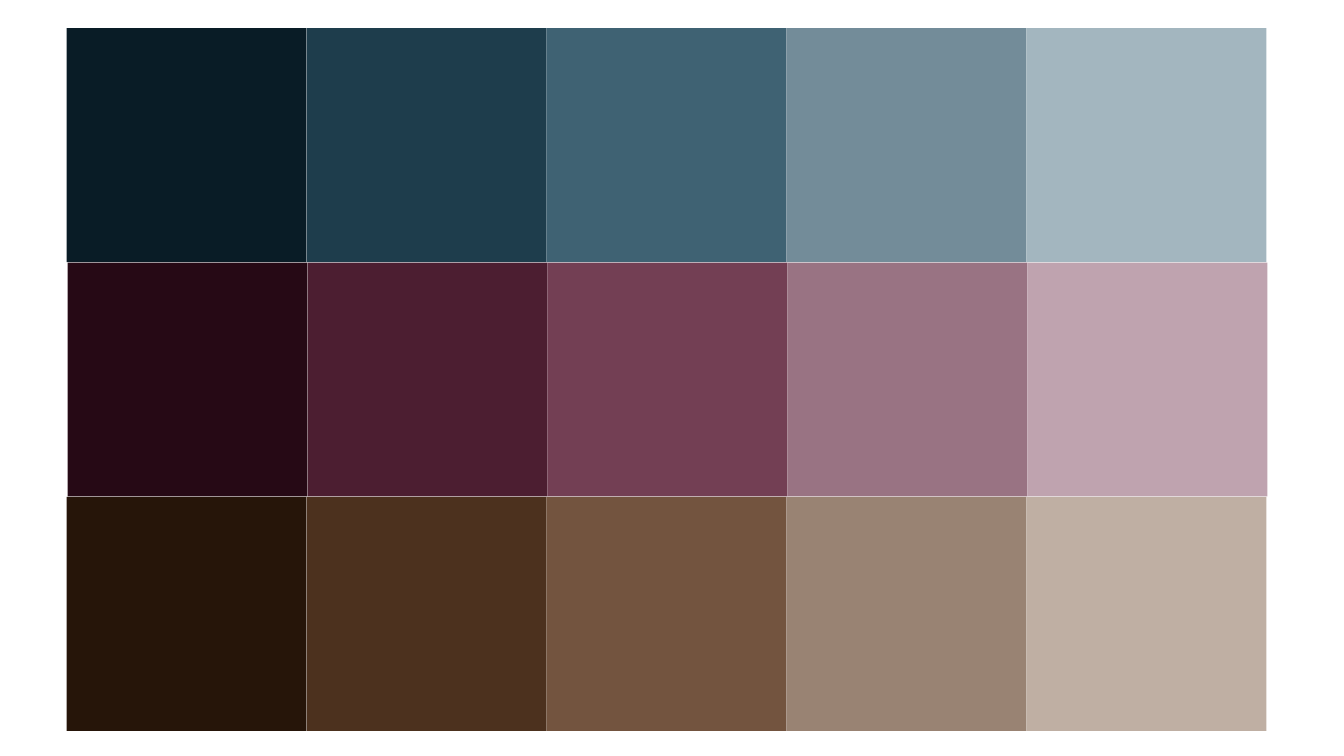
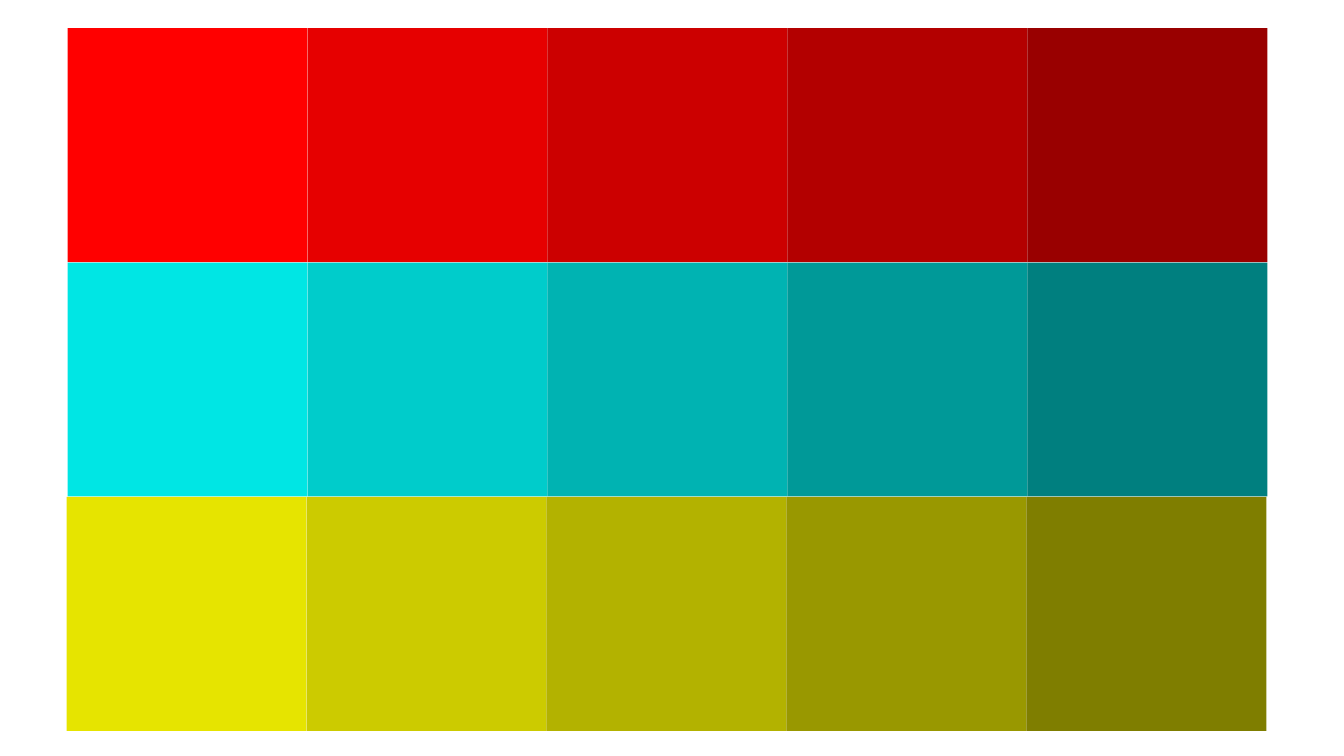
from pptx import Presentation
from pptx.dml.color import RGBColor
from pptx.enum.shapes import MSO_SHAPE
from pptx.util import Inches

RECTANGLE = MSO_SHAPE.RECTANGLE
BLANK_LAYOUT = 6

# Each row: left edge in inches, then its shades from left to right
MUTED_ROWS = [
    (0.66, ["091C26", "1E3D4C", "3F6273", "738C99", "A3B6BF"]),
    (0.67, ["260915", "4C1E31", "733F54", "997383", "BFA3AF"]),
    (0.66, ["261509", "4C311E", "73543F", "998373", "BFAFA3"]),
]
VIVID_ROWS = [
    (0.67, ["FF0000", "E60000", "CC0000", "B30000", "990000"]),
    (0.67, ["00E6E4", "00CCCB", "00B3B2", "009998", "007F7F"]),
    (0.66, ["E6E400", "CCCB00", "B3B200", "999800", "7F7E00"]),
]
PALETTES = [
    [(left, [RGBColor.from_string(shade) for shade in shades]) for left, shades in rows]
    for rows in (MUTED_ROWS, VIVID_ROWS)
]

# Swatch grid, in inches
GRID_TOP = 0.28
SWATCH_WIDTH, SWATCH_HEIGHT = 2.38, 2.32
ROW_BOTTOM = 7.25
ROW_PITCH = (ROW_BOTTOM - SWATCH_HEIGHT - GRID_TOP) / 2


def add_swatch(group, left, top, color):
    swatch = group.shapes.add_shape(
        RECTANGLE, Inches(left), Inches(top), Inches(SWATCH_WIDTH), Inches(SWATCH_HEIGHT)
    )
    swatch.shadow.inherit = False
    swatch.fill.solid()
    swatch.fill.fore_color.rgb = color
    swatch.line.fill.background()


def add_palette(deck, rows):
    page = deck.slides.add_slide(deck.slide_layouts[BLANK_LAYOUT])
    for row, (left, colors) in enumerate(rows):
        group = page.shapes.add_group_shape()
        for column, color in enumerate(colors):
            add_swatch(group, left + column * SWATCH_WIDTH, GRID_TOP + row * ROW_PITCH, color)


def main():
    deck = Presentation()
    deck.slide_width, deck.slide_height = Inches(13.33), Inches(7.5)
    for rows in PALETTES:
        add_palette(deck, rows)
    deck.save("out.pptx")


if __name__ == "__main__":
    main()
